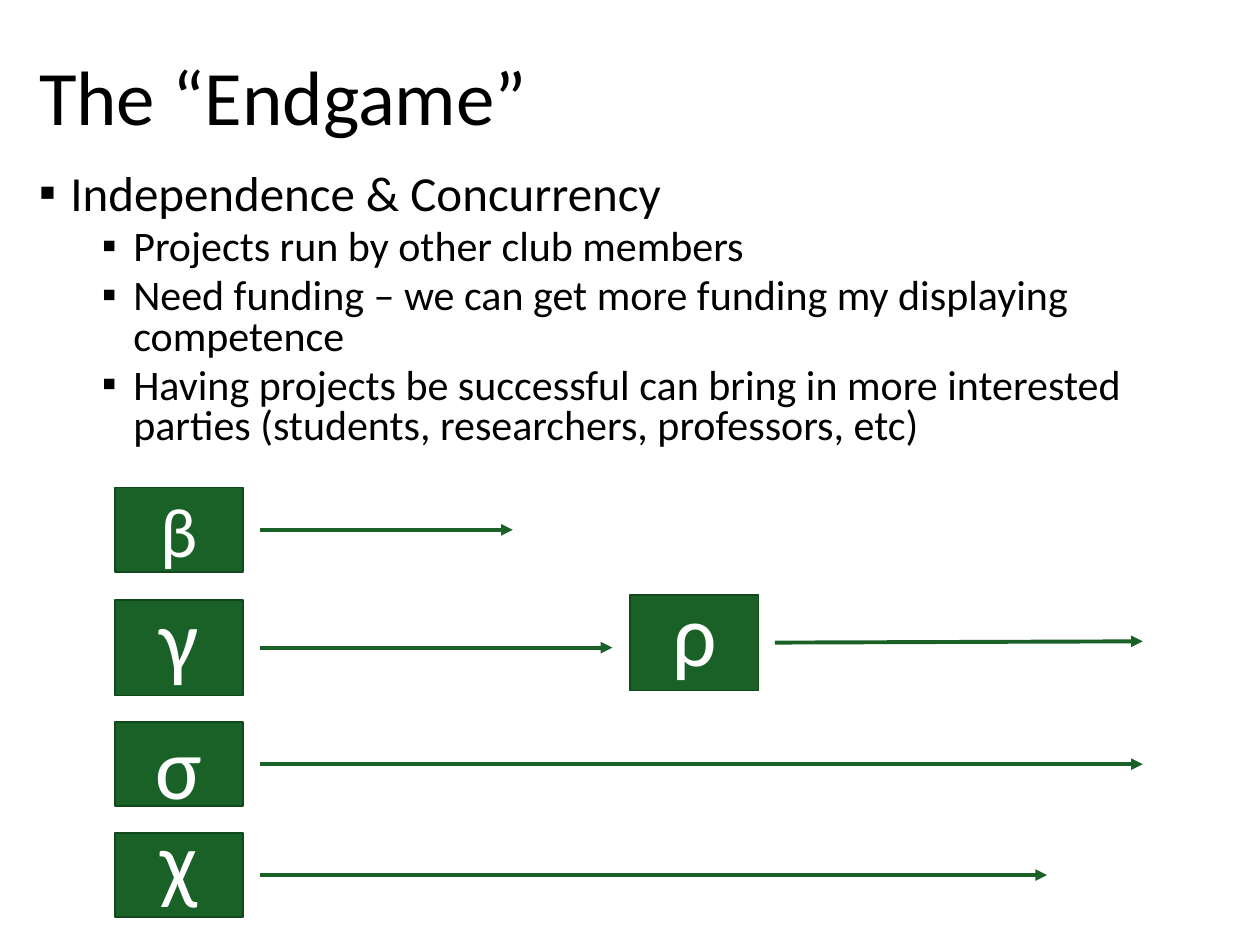
from collections import namedtuple
from dataclasses import dataclass

from lxml.etree import SubElement
from pptx import Presentation
from pptx.dml.color import RGBColor
from pptx.enum.shapes import MSO_CONNECTOR as Connector, MSO_SHAPE as Shape
from pptx.enum.text import MSO_ANCHOR as Anchor, MSO_AUTO_SIZE as AutoSize, PP_ALIGN as Align
from pptx.oxml.ns import qn
from pptx.util import Inches, Pt

Box = namedtuple("Box", "left top width height")
Project = namedtuple("Project", "symbol left top height arrow_end size anchor rise", defaults=(0,))


@dataclass(frozen=True)
class Theme:
    font: str = "Calibri"
    text: RGBColor = RGBColor(0x00, 0x00, 0x00)
    background: RGBColor = RGBColor(0xFF, 0xFF, 0xFF)
    green: RGBColor = RGBColor(0x19, 0x61, 0x27)
    outline: RGBColor = RGBColor(0x12, 0x48, 0x1D)
    title_size: int = 44
    topic_size: int = 28
    point_size: int = 24
    small_symbol: int = 40
    symbol: int = 50


THEME = Theme()
PROJECT_WIDTH = 1.02
ARROW_GAP = 0.13

TOPIC = "Independence & Concurrency"
POINTS = [
    "Projects run by other club members",
    "Need funding – we can get more funding my displaying competence",
    "Having projects be successful can bring in more interested parties "
    "(students, researchers, professors, etc)",
]
PROJECTS = [
    Project("β", 0.91, 3.87, 0.67, 4.07, THEME.small_symbol, Anchor.MIDDLE),
    Project("γ", 0.91, 4.76, 0.76, 4.86, THEME.symbol, Anchor.BOTTOM),
    Project("σ", 0.91, 5.73, 0.67, 9.07, THEME.symbol, Anchor.MIDDLE),
    Project("χ", 0.91, 6.61, 0.67, 8.31, THEME.symbol, Anchor.BOTTOM),
    Project("ρ", 5, 4.72, 0.76, 9.07, THEME.symbol, Anchor.BOTTOM, 0.01),
]


def write(paragraph, text, *, size, color=THEME.text, align=Align.LEFT,
          spacing=None, before=0, level=0, indent=None):
    run = paragraph.add_run()
    run.text = text
    run.font.name = THEME.font
    run.font.size = Pt(size)
    run.font.color.rgb = color
    paragraph.alignment = align
    paragraph.level = level
    paragraph.space_before = Pt(before)
    if spacing:
        paragraph.line_spacing = spacing
    if indent is not None:
        add_bullet(paragraph, indent)


def add_bullet(paragraph, indent):
    properties = paragraph._p.get_or_add_pPr()
    properties.set("marL", str(Inches(indent)))
    properties.set("indent", str(Inches(-0.25)))
    SubElement(properties, qn("a:buFont")).set("typeface", "Arial")
    SubElement(properties, qn("a:buChar")).set("char", "▪")


def add_title(slide, box):
    title = slide.shapes.title
    title.left, title.top, title.width, title.height = map(Inches, box)
    frame = title.text_frame
    frame.vertical_anchor = Anchor.MIDDLE
    frame.auto_size = AutoSize.NONE
    write(frame.paragraphs[0], "The “Endgame”", size=THEME.title_size, spacing=0.9)


def add_points(slide, box):
    frame = slide.shapes.add_textbox(*map(Inches, box)).text_frame
    frame.word_wrap = True
    write(frame.paragraphs[0], TOPIC, size=THEME.topic_size,
          spacing=0.8, before=10, indent=0.25)
    for point in POINTS:
        write(frame.add_paragraph(), point, size=THEME.point_size,
              spacing=0.8, before=5, level=1, indent=0.75)


def add_arrow(slide, start, end):
    arrow = slide.shapes.add_connector(Connector.STRAIGHT, *map(Inches, start + end))
    arrow.line.color.rgb = THEME.green
    arrow.line.width = Pt(2.25)
    SubElement(arrow.line._get_or_add_ln(), qn("a:tailEnd")).set("type", "triangle")
    SubElement(arrow._element.spPr, qn("a:effectLst"))


def add_project(slide, box, project):
    shape = slide.shapes.add_shape(Shape.RECTANGLE, *map(Inches, box))
    shape.shadow.inherit = False
    shape.fill.solid()
    shape.fill.fore_color.rgb = THEME.green
    shape.line.color.rgb = THEME.outline
    shape.line.width = Pt(1)
    frame = shape.text_frame
    frame.vertical_anchor = project.anchor
    write(frame.paragraphs[0], project.symbol, size=project.size,
          color=THEME.background, align=Align.CENTER)
    middle = box.top + box.height / 2
    add_arrow(slide, (box.left + box.width + ARROW_GAP, middle),
              (project.arrow_end, middle - project.rise))


def main():
    presentation = Presentation()
    presentation.slide_width = Inches(10)
    presentation.slide_height = Inches(7.5)
    slide = presentation.slides.add_slide(presentation.slide_layouts[5])
    slide.background.fill.solid()
    slide.background.fill.fore_color.rgb = THEME.background
    add_title(slide, Box(0.21, 0.4, 9.51, 0.8))
    add_points(slide, Box(0.21, 1.33, 9.51, 2.47))
    for project in PROJECTS:
        add_project(slide, Box(project.left, project.top, PROJECT_WIDTH, project.height), project)
    presentation.save("out.pptx")


if __name__ == "__main__":
    main()
